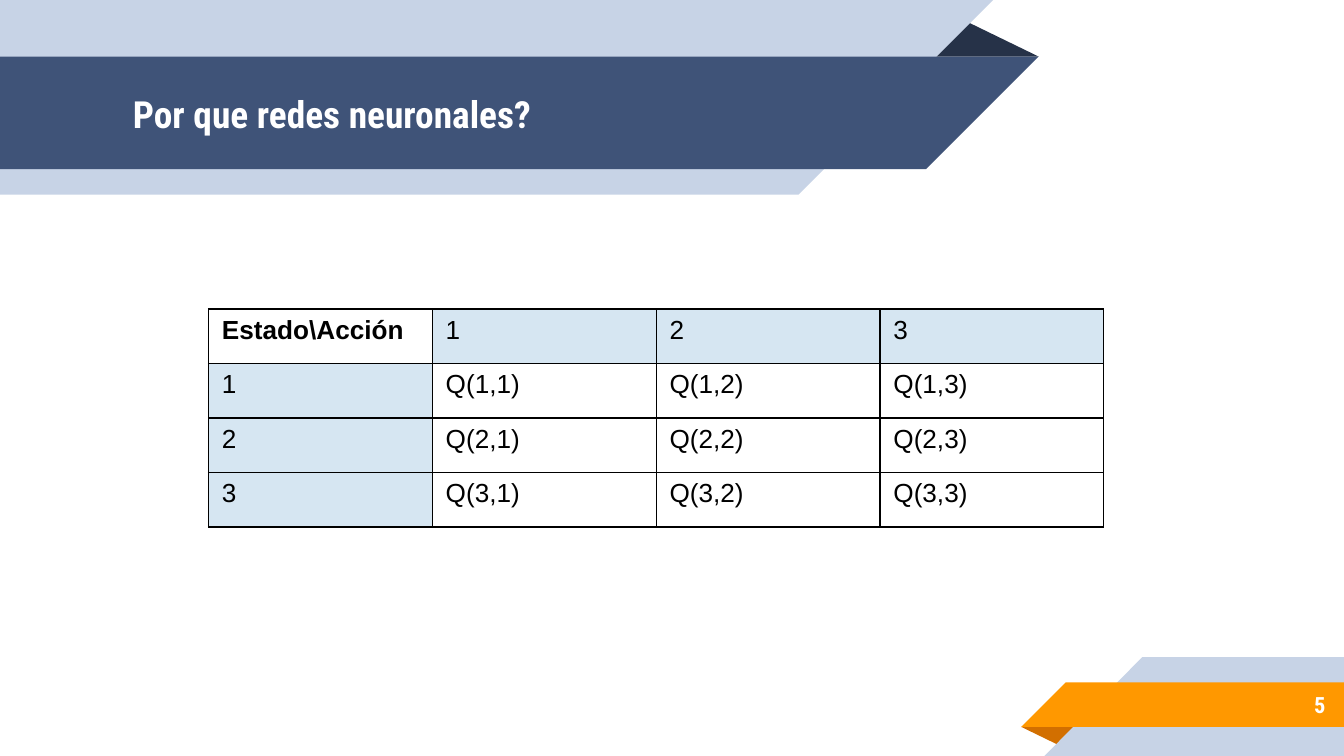
from lxml import etree
from pptx import Presentation
from pptx.dml.color import RGBColor
from pptx.enum.text import MSO_ANCHOR, MSO_AUTO_SIZE, PP_ALIGN
from pptx.oxml.ns import qn
from pptx.util import Cm, Pt

LEFT, RIGHT = PP_ALIGN.LEFT, PP_ALIGN.RIGHT
TOP, MIDDLE = MSO_ANCHOR.TOP, MSO_ANCHOR.MIDDLE
NO_AUTOFIT = MSO_AUTO_SIZE.NONE

COLORS = {
    "white": "FFFFFF",
    "black": "000000",
    "pale": "C7D3E6",
    "navy": "3F5378",
    "navy_fold": "263248",
    "orange": "FF9800",
    "orange_fold": "D26F00",
    "header": "D6E6F2",
}
HEADING_FONT = "Roboto Condensed"
SLIDE_WIDTH, SLIDE_HEIGHT = 25.4, 14.29


def write_text(frame, text, font="Arial", size=14, color="black", bold=False, align=LEFT):
    paragraph = frame.paragraphs[0]
    paragraph.alignment = align
    run = paragraph.add_run()
    run.text = text
    run.font.name = font
    run.font.size = Pt(size)
    run.font.bold = bold
    run.font.color.rgb = RGBColor.from_string(COLORS[color])


def add_border(cell, side):
    line = etree.SubElement(cell._tc.get_or_add_tcPr(), qn(f"a:{side}"), w=str(Pt(0.75)))
    fill = etree.SubElement(line, qn("a:solidFill"))
    etree.SubElement(fill, qn("a:srgbClr"), val=COLORS["black"])


presentation = Presentation()
presentation.slide_width = Cm(SLIDE_WIDTH)
presentation.slide_height = Cm(SLIDE_HEIGHT)
slide = presentation.slides.add_slide(presentation.slide_layouts[5])
shapes = slide.shapes

ribbons = [
    ("navy_fold", [(17.48, 1.07), (18.17, 0.36), (19.63, 1.07)]),
    ("pale", [(0, 0), (18.77, 0), (15.09, 3.68), (0, 3.68)]),
    ("navy", [(0, 1.07), (19.63, 1.07), (17.5, 3.2), (0, 3.2)]),
    ("orange_fold", [(19.3, 13.74), (20.4, 13.74), (20.04, 14.1)]),
    ("pale", [(21.59, 12.42), (SLIDE_WIDTH, 12.42), (SLIDE_WIDTH, SLIDE_HEIGHT), (19.74, SLIDE_HEIGHT)]),
    ("orange", [(20.14, 12.9), (SLIDE_WIDTH, 12.9), (SLIDE_WIDTH, 13.74), (19.3, 13.74)]),
]
for color, corners in ribbons:
    points = [(Cm(x), Cm(y)) for x, y in corners]
    builder = shapes.build_freeform(*points[0])
    builder.add_line_segments(points[1:], close=True)
    ribbon = builder.convert_to_shape()
    ribbon.shadow.inherit = False
    ribbon.fill.solid()
    ribbon.fill.fore_color.rgb = RGBColor.from_string(COLORS[color])
    ribbon.line.fill.background()

title = shapes.title
title.element.getparent().append(title.element)
title.left, title.top, title.width, title.height = Cm(2.26), Cm(1.09), Cm(15.27), Cm(2.13)
page_number = shapes.add_textbox(Cm(21.16), Cm(12.88), Cm(4.14), Cm(0.89))
for box in (title, page_number):
    frame = box.text_frame
    frame.word_wrap = True
    frame.auto_size = NO_AUTOFIT
    frame.vertical_anchor = MIDDLE
    frame.margin_left = frame.margin_right = Cm(0.25)
    frame.margin_top = frame.margin_bottom = Cm(0.25)
write_text(title.text_frame, "Por que redes neuronales?", font=HEADING_FONT, size=20, color="white", bold=True)
write_text(page_number.text_frame, "5", font=HEADING_FONT, size=12, color="white", bold=True, align=RIGHT)

states = actions = range(1, 4)
rows = [["Estado\\Acción", *map(str, actions)]]
rows += [[str(state), *(f"Q({state},{action})" for action in actions)] for state in states]

column_width, row_height = Cm(4.23), Cm(1.03)
table = shapes.add_table(
    len(rows), len(rows[0]), Cm(3.94), Cm(5.84), column_width * len(rows[0]), row_height * len(rows)
).table
table.first_row = False
table.horz_banding = False
for column in table.columns:
    column.width = column_width
for row_index, row in enumerate(rows):
    table.rows[row_index].height = row_height
    for column_index, text in enumerate(row):
        cell = table.cell(row_index, column_index)
        is_corner = row_index == column_index == 0
        is_header = not is_corner and 0 in (row_index, column_index)
        cell.vertical_anchor = TOP
        write_text(cell.text_frame, text, bold=is_corner)
        for side in ("lnL", "lnR", "lnT", "lnB"):
            add_border(cell, side)
        if is_header:
            cell.fill.solid()
            cell.fill.fore_color.rgb = RGBColor.from_string(COLORS["header"])
        else:
            cell.fill.background()

presentation.save("out.pptx")
